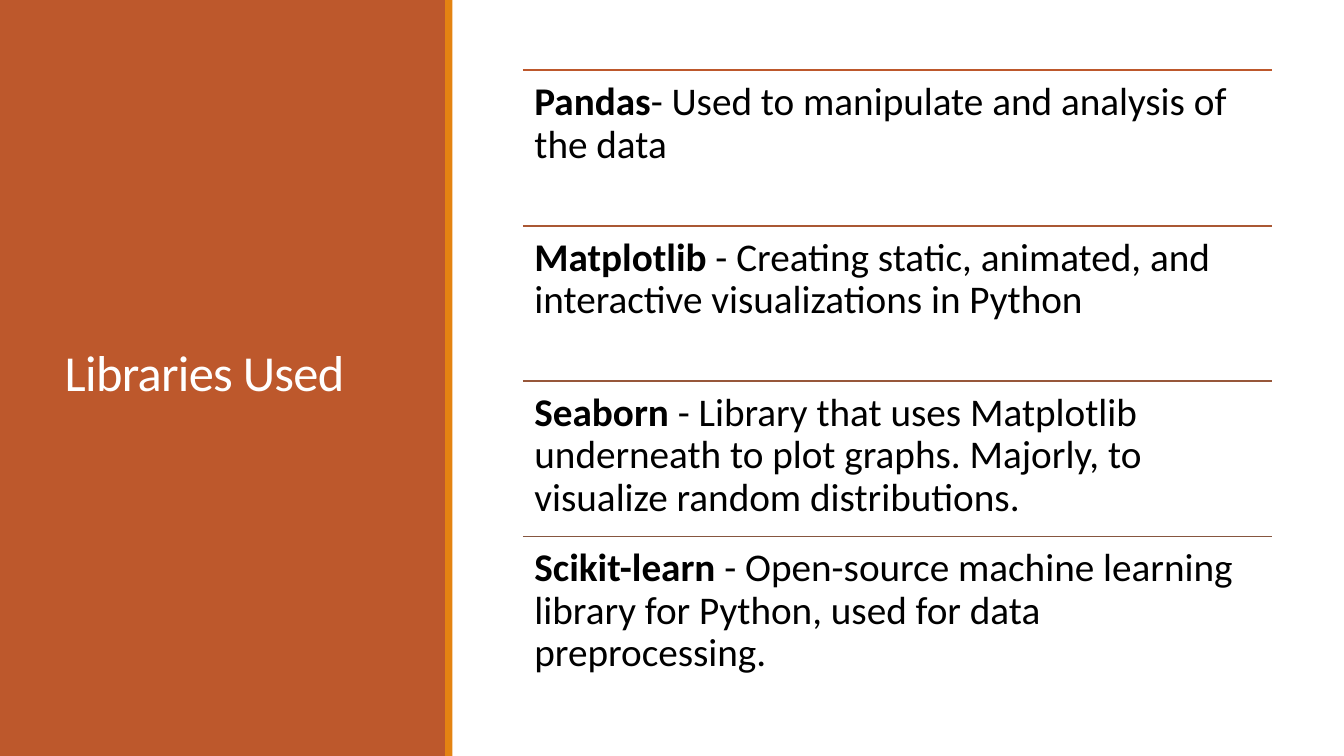
import pptx
import pptx.util
import pptx.dml.color
import pptx.enum.shapes
import pptx.enum.text
import pptx.oxml.ns
import lxml.etree

RGBColor = pptx.dml.color.RGBColor
RUST = RGBColor(0xBD, 0x58, 0x2C)
AMBER = RGBColor(0xE4, 0x83, 0x12)
WHITE = RGBColor(0xFF, 0xFF, 0xFF)
BLACK = RGBColor(0x00, 0x00, 0x00)
RULE_COLOURS = [
    RUST,
    RGBColor(0xAA, 0x58, 0x34),
    RGBColor(0x97, 0x57, 0x3A),
    RGBColor(0x86, 0x56, 0x40),
]

FONT = "Calibri"
PAGE_WIDTH, PAGE_HEIGHT = 1280, 720

# Some spaces below are non-breaking, which keeps the words around them together.
LIBRARIES = [
    ("Pandas", "- Used to manipulate and analysis of the data"),
    ("Matplotlib", " - Creating static, animated, and interactive visualizations in Python"),
    ("Seaborn ", "- Library that uses Matplotlib underneath to plot graphs. Majorly, "
                 "to visualize random distributions."),
    ("Scikit-learn", " - Open-source machine learning library for Python, "
                     "used for data preprocessing."),
]


def px(length):
    return pptx.util.Emu(length * 9525)


def format_span(span, size, colour, bold=False):
    span.font.name = FONT
    span.font.size = pptx.util.Pt(size)
    span.font.color.rgb = colour
    span.font.bold = bold


def add_block(page, left, top, width, height, colour):
    block = page.shapes.add_shape(
        pptx.enum.shapes.MSO_SHAPE.RECTANGLE, px(left), px(top), px(width), px(height))
    block.shadow.inherit = False
    block.fill.solid()
    block.fill.fore_color.rgb = colour
    block.line.fill.background()
    return block


def build_title_panel(page, left, top, width, height):
    """Coloured panel with the title and a stripe along its right edge."""
    panel = add_block(page, left, top, width, height, RUST)
    add_block(page, left + width - 1, top, 7, height, AMBER)

    title = page.shapes.title
    panel._element.addnext(title._element)  # bring the title in front of the panel
    title.left, title.top = px(left + 52), px(top + 55)
    title.width, title.height = px(width - 101), px(height - 114)
    frame = title.text_frame
    frame.text = "Libraries Used"
    frame.word_wrap = True
    frame.auto_size = pptx.enum.text.MSO_AUTO_SIZE.NONE
    frame.vertical_anchor = pptx.enum.text.MSO_ANCHOR.MIDDLE
    para = frame.paragraphs[0]
    para.alignment = pptx.enum.text.PP_ALIGN.LEFT
    para.line_spacing = 0.85
    span = para.runs[0]
    format_span(span, 36, WHITE)
    span._r.get_or_add_rPr().set("spc", "-50")


def add_rule(group, left, top, width, colour):
    rule = group.shapes.add_connector(
        pptx.enum.shapes.MSO_CONNECTOR.STRAIGHT, px(left), px(top), px(left + width), px(top))
    rule.line.color.rgb = colour
    rule.line.width = pptx.util.Pt(1.25)
    lxml.etree.SubElement(rule._element.spPr, pptx.oxml.ns.qn("a:effectLst"))


def add_entry(group, left, top, width, height, name, description):
    box = group.shapes.add_textbox(px(left), px(top), px(width), px(height))
    frame = box.text_frame
    frame.word_wrap = True
    frame.margin_left = frame.margin_right = px(11)
    frame.margin_top = frame.margin_bottom = px(11)
    para = frame.paragraphs[0]
    para.line_spacing = 0.9
    for text, bold in ((name, True), (description, False)):
        span = para.add_run()
        span.text = text
        format_span(span, 28, BLACK, bold)


def build_library_list(page, left, top, width, height):
    """Equal rows, each with a rule above its text."""
    group = page.shapes.add_group_shape()
    row_height = height // len(LIBRARIES)
    for row, ((name, description), colour) in enumerate(zip(LIBRARIES, RULE_COLOURS)):
        row_top = top + row * row_height
        add_rule(group, left, row_top, width, colour)
        add_entry(group, left, row_top, width, row_height, name, description)


def main():
    deck = pptx.Presentation()
    deck.slide_width, deck.slide_height = px(PAGE_WIDTH), px(PAGE_HEIGHT)
    page = deck.slides.add_slide(deck.slide_layouts[5])
    page.background.fill.solid()
    page.background.fill.fore_color.rgb = WHITE

    build_title_panel(page, 0, 0, 425, PAGE_HEIGHT)
    build_library_list(page, 498, 67, 713, 592)
    deck.save("out.pptx")


if __name__ == "__main__":
    main()
